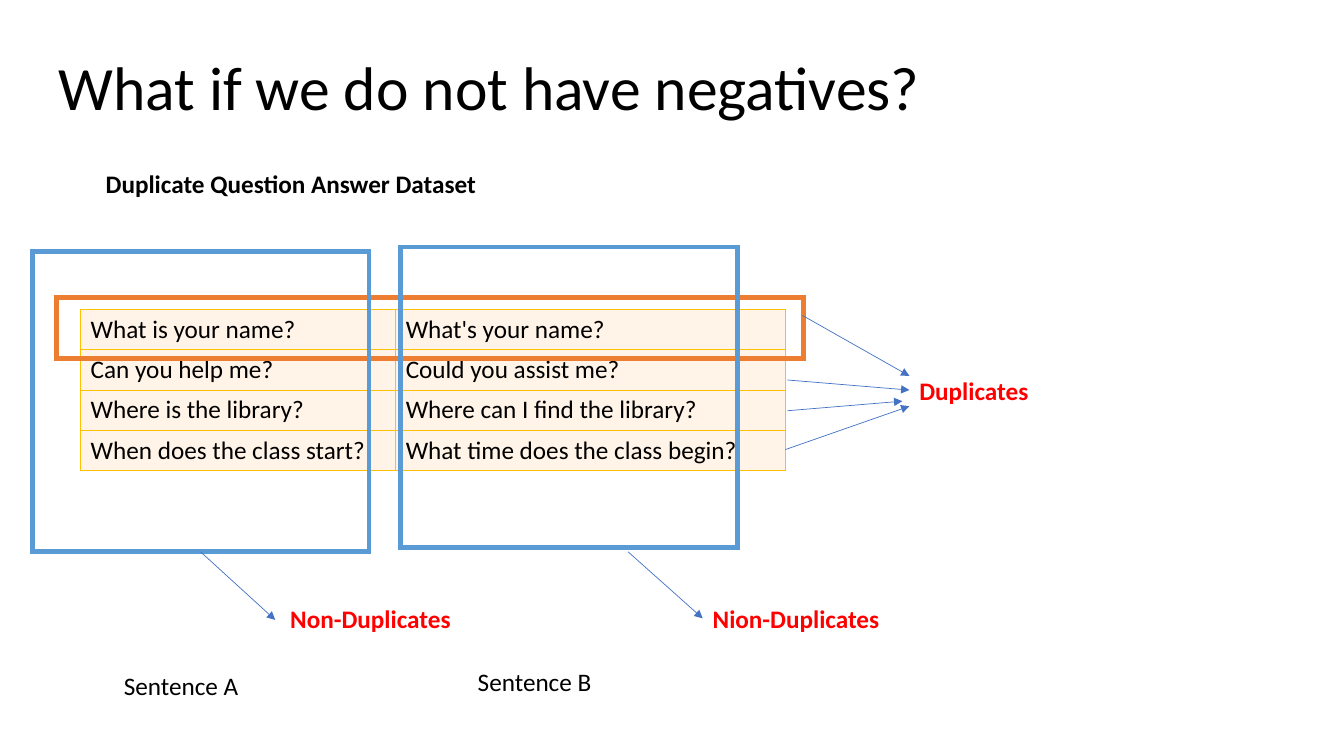
from dataclasses import dataclass

from lxml import etree
from pptx import Presentation
from pptx.dml.color import RGBColor
from pptx.enum.shapes import MSO_CONNECTOR, MSO_SHAPE
from pptx.enum.text import MSO_ANCHOR, MSO_AUTO_SIZE, PP_ALIGN
from pptx.oxml.ns import qn
from pptx.util import Inches, Pt

STRAIGHT = MSO_CONNECTOR.STRAIGHT
RECTANGLE = MSO_SHAPE.RECTANGLE
MIDDLE = MSO_ANCHOR.MIDDLE
LEFT = PP_ALIGN.LEFT
FIT_SHAPE = MSO_AUTO_SIZE.SHAPE_TO_FIT_TEXT
NO_FIT = MSO_AUTO_SIZE.NONE

BLACK = RGBColor(0x00, 0x00, 0x00)
RED = RGBColor(0xFF, 0x00, 0x00)
ORANGE = RGBColor(0xED, 0x7D, 0x31)
SKY = RGBColor(0x5B, 0x9B, 0xD5)
BLUE = RGBColor(0x44, 0x72, 0xC4)
GOLD = RGBColor(0xFF, 0xC0, 0x00)
CREAM = RGBColor(0xFF, 0xF4, 0xE7)

FONT = "Calibri"
CELL = Inches(0.1)  # the slide is a grid of square cells
LABEL_ROWS = 4
TABLE_ROW = 4
BOTTOM_SITE, LEFT_SITE = 2, 1


@dataclass(frozen=True)
class Label:
    text: str
    col: float
    row: float
    cols: float
    color: RGBColor = BLACK
    bold: bool = False


@dataclass(frozen=True)
class Frame:
    key: str
    col: float
    row: float
    cols: float
    rows: float
    color: RGBColor


@dataclass(frozen=True)
class Arrow:
    start: tuple[float, float]
    end: tuple[float, float]
    source: str = ""
    target: str = ""


QUESTIONS = [
    ("What is your name?", "What's your name?"),
    ("Can you help me?", "Could you assist me?"),
    ("Where is the library?", "Where can I find the library?"),
    ("When does the class start?", "What time does the class begin?"),
]
TABLE_COLS = (31.25, 38.7)

LABELS = [
    Label("Duplicate Question Answer Dataset", 9.5, 16.2, 46.4, bold=True),
    Label("Duplicates", 90.2, 36.7, 16.4, RED, True),
    Label("Nion-Duplicates", 69.7, 59.35, 20.5, RED, True),
    Label("Non-Duplicates", 27.8, 59.35, 20.5, RED, True),
    Label("Sentence A", 11.3, 66, 14.6),
    Label("Sentence B", 46.4, 65.65, 14.6),
]
FRAMES = [
    Frame("Question pair", 5.6, 29.5, 74.1, 6.1, ORANGE),
    Frame("Column B", 39.75, 24.5, 33.4, 29.8, SKY),
    Frame("Column A", 3.2, 24.95, 33.4, 29.8, SKY),
]
ARROWS = [
    Arrow((79.6, 31.3), (90.2, 37.3)),
    Arrow((78.1, 37.7), (90.2, 38.7), target="Duplicates"),
    Arrow((78.1, 40.75), (89.5, 39.8)),
    Arrow((77.9, 44.6), (90.2, 40.3)),
    Arrow((62.3, 54.75), (69.7, 61.35), target="Nion-Duplicates"),
    Arrow((19.9, 54.75), (27.3, 61.5), source="Column A"),
]


def cells(*counts: float) -> list[int]:
    """Turn counts of grid cells into lengths."""
    return [round(n * CELL) for n in counts]


def write(tf, text: str, size: int = 18, color: RGBColor = BLACK, bold: bool = False) -> None:
    tf.text = text
    p = tf.paragraphs[0]
    p.alignment = LEFT
    font = p.runs[0].font
    font.name, font.size, font.bold = FONT, Pt(size), bold
    font.color.rgb = color


def set_title(s, text: str) -> None:
    title = s.shapes.title
    title.left, title.top, title.width, title.height = cells(4.8, 1.7, 115, 14.5)
    tf = title.text_frame
    write(tf, text, 44)
    tf.vertical_anchor = MIDDLE
    tf.auto_size = NO_FIT
    tf.paragraphs[0].line_spacing = 0.9


def add_label(s, label: Label):
    sp = s.shapes.add_textbox(*cells(label.col, label.row, label.cols, LABEL_ROWS))
    tf = sp.text_frame
    tf.word_wrap = True
    tf.auto_size = FIT_SHAPE
    write(tf, label.text, color=label.color, bold=label.bold)
    return sp


def add_frame(s, frame: Frame):
    sp = s.shapes.add_shape(RECTANGLE, *cells(frame.col, frame.row, frame.cols, frame.rows))
    sp.shadow.inherit = False
    sp.fill.background()
    sp.line.color.rgb = frame.color
    sp.line.width = Pt(3.5)
    etree.SubElement(sp.line._get_or_add_ln(), qn("a:miter"), lim="800000")
    return sp


def add_arrow(s, arrow: Arrow, joints: dict) -> None:
    line = s.shapes.add_connector(STRAIGHT, *cells(*arrow.start, *arrow.end))
    if arrow.source:
        line.begin_connect(joints[arrow.source], BOTTOM_SITE)
    if arrow.target:
        line.end_connect(joints[arrow.target], LEFT_SITE)
    line.line.color.rgb = BLUE
    line.line.width = Pt(0.5)
    etree.SubElement(line.line._get_or_add_ln(), qn("a:tailEnd"), type="triangle")
    etree.SubElement(line._element.spPr, qn("a:effectLst"))


def set_borders(cell, color: RGBColor) -> None:
    tcPr = cell._tc.get_or_add_tcPr()
    for i, side in enumerate(("lnL", "lnR", "lnT", "lnB")):
        ln = etree.Element(qn(f"a:{side}"), w=str(Pt(1)))
        fill = etree.SubElement(ln, qn("a:solidFill"))
        etree.SubElement(fill, qn("a:srgbClr"), val=str(color))
        tcPr.insert(i, ln)


def add_questions(s) -> None:
    size = cells(8, 30.7, sum(TABLE_COLS), TABLE_ROW * len(QUESTIONS))
    table = s.shapes.add_table(len(QUESTIONS), len(TABLE_COLS), *size).table
    table.first_row = table.horz_banding = False
    for column, width in zip(table.columns, cells(*TABLE_COLS)):
        column.width = width
    for r, pair in enumerate(QUESTIONS):
        for c, question in enumerate(pair):
            cell = table.cell(r, c)
            write(cell.text_frame, question)
            cell.vertical_anchor = MIDDLE
            cell.margin_top = cell.margin_bottom = Inches(0.04)
            cell.fill.solid()
            cell.fill.fore_color.rgb = CREAM
            set_borders(cell, GOLD)


def main() -> None:
    prs = Presentation()
    prs.slide_width, prs.slide_height = Inches(13.33), Inches(7.5)
    s = prs.slides.add_slide(prs.slide_layouts[5])
    set_title(s, "What if we do not have negatives?")
    add_questions(s)
    joints = {label.text: add_label(s, label) for label in LABELS}
    joints |= {frame.key: add_frame(s, frame) for frame in FRAMES}
    for arrow in ARROWS:
        add_arrow(s, arrow, joints)
    prs.save("out.pptx")


if __name__ == "__main__":
    main()
